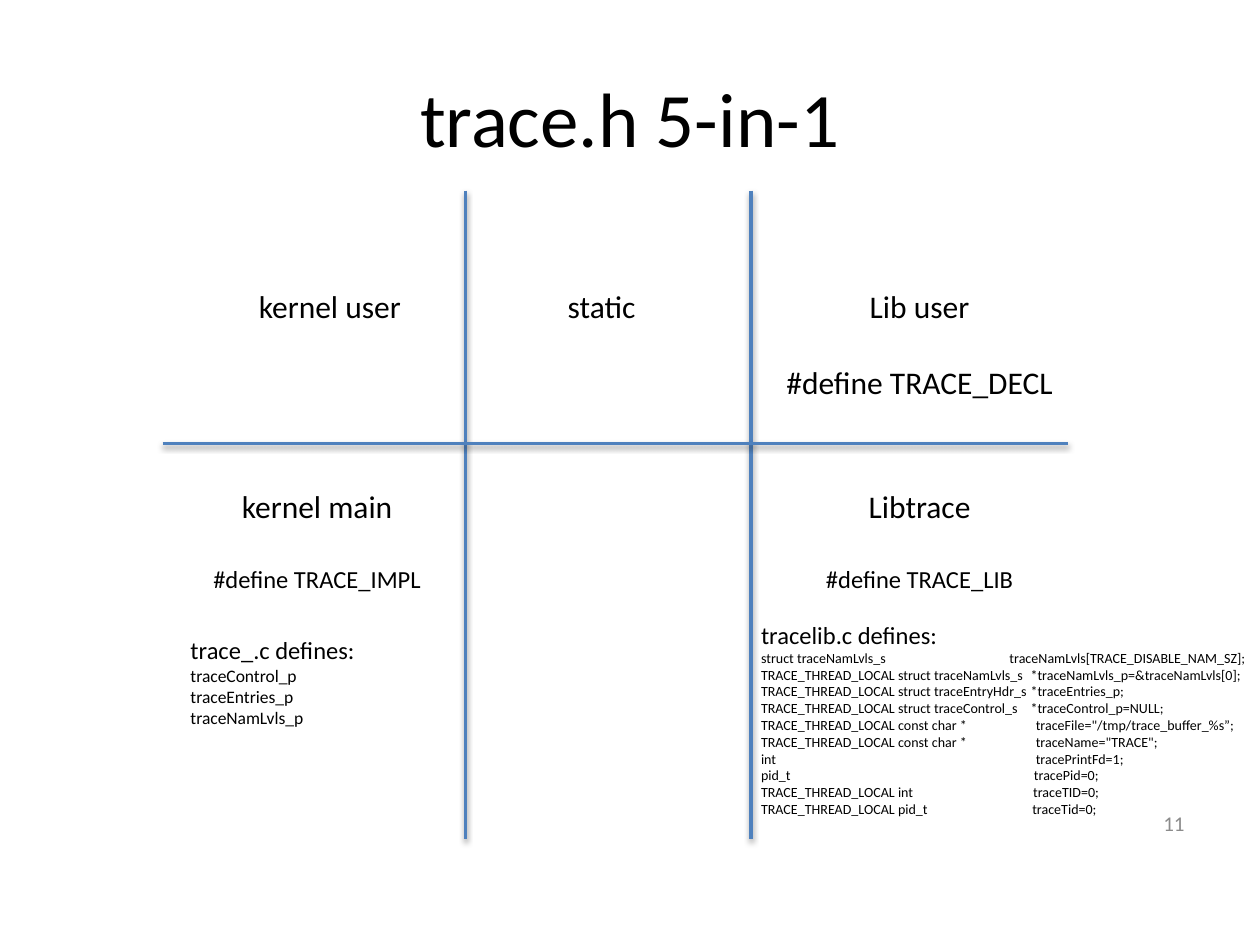
from lxml import etree
from pptx import Presentation
from pptx.dml.color import RGBColor
from pptx.enum import shapes, text
from pptx.oxml import ns
from pptx.util import Pt

BLACK = RGBColor(0, 0, 0)
GREY = RGBColor(0x8B, 0x8B, 0x8B)
BLUE = RGBColor(0x4F, 0x81, 0xBD)
LEFT, CENTER, RIGHT = text.PP_ALIGN.LEFT, text.PP_ALIGN.CENTER, text.PP_ALIGN.RIGHT

VARIABLES = [
    ("struct traceNamLvls_s", "traceNamLvls[TRACE_DISABLE_NAM_SZ];", 142),
    ("TRACE_THREAD_LOCAL struct traceNamLvls_s", "*traceNamLvls_p=&traceNamLvls[0];", 154),
    ("TRACE_THREAD_LOCAL struct traceEntryHdr_s", "*traceEntries_p;", 154),
    ("TRACE_THREAD_LOCAL struct traceControl_s", "*traceControl_p=NULL;", 154),
    ("TRACE_THREAD_LOCAL const char *", "traceFile=\"/tmp/trace_buffer_%s\u201d;", 157),
    ("TRACE_THREAD_LOCAL const char *", "traceName=\"TRACE\";", 157),
    ("int", "tracePrintFd=1;", 157),
    ("pid_t", "tracePid=0;", 156),
    ("TRACE_THREAD_LOCAL int", "traceTID=0;", 155.5),
    ("TRACE_THREAD_LOCAL pid_t", "traceTid=0;", 155),
]


def write(para, words, size=18, color=BLACK, align=LEFT, before=0, tab=None):
    para.alignment = align
    para.space_before = Pt(before)
    span = para.add_run()
    span.text = words
    span.font.size = Pt(size)
    span.font.name = "Calibri"
    span.font.color.rgb = color
    if tab:
        stops = etree.SubElement(para._p.get_or_add_pPr(), ns.qn("a:tabLst"))
        etree.SubElement(stops, ns.qn("a:tab"), pos=str(int(Pt(tab))), algn="l")


def add_text(page, box, lines, inset=7.2, anchor=text.MSO_ANCHOR.TOP):
    frame = page.shapes.add_textbox(*map(Pt, box)).text_frame
    frame.word_wrap = True
    frame.margin_left = frame.margin_right = Pt(inset)
    frame.vertical_anchor = anchor
    for index, (words, style) in enumerate(lines):
        para = frame.add_paragraph() if index else frame.paragraphs[0]
        write(para, words, **style)


def add_title(page, box, words):
    title = page.shapes.title
    title.left, title.top, title.width, title.height = map(Pt, box)
    title.text_frame.vertical_anchor = text.MSO_ANCHOR.MIDDLE
    write(title.text_frame.paragraphs[0], words, size=44, align=CENTER)


def add_rule(page, start, end):
    rule = page.shapes.add_connector(
        shapes.MSO_CONNECTOR.STRAIGHT, *map(Pt, (*start, *end)))
    rule.line.color.rgb = BLUE
    rule.line.width = Pt(2)


def add_grid(page, box, columns, row):
    left, top, width, height = box
    for column in columns:
        add_rule(page, (left + column, top), (left + column, top + height))
    add_rule(page, (left, top + row), (left + width, top + row))


def add_heading(page, box, name, define=None, size=18):
    lines = [(name, dict(align=CENTER))]
    if define:
        lines.append((define, dict(size=size, align=CENTER, before=22)))
    add_text(page, box, lines, inset=0)


def add_definitions(page, box, heading, rows, size):
    lines = [(heading, dict(size=14))]
    lines += [(words, dict(size=size, tab=tab)) for words, tab in rows]
    add_text(page, box, lines)


deck = Presentation()
deck.slide_width, deck.slide_height = Pt(720), Pt(540)
page = deck.slides.add_slide(deck.slide_layouts[5])

add_title(page, (36, 21.6, 648, 90), "trace.h 5-in-1")
add_grid(page, (93, 109, 517.5, 370.5), (173, 336), 144.5)
add_heading(page, (140.5, 160.5, 96, 29), "kernel user")
add_heading(page, (317.5, 160.5, 52.5, 29), "static")
add_heading(page, (442.5, 160.5, 166, 72), "Lib user", "#define TRACE_DECL")
add_heading(page, (115, 275, 132.5, 72), "kernel main", "#define TRACE_IMPL", size=14)
add_heading(page, (465, 275, 121, 72), "Libtrace", "#define TRACE_LIB", size=14)
add_definitions(page, (101.8, 359.5, 164, 60), "trace_.c defines:",
                [(name, None) for name in
                 ("traceControl_p", "traceEntries_p", "traceNamLvls_p")], 10)
add_definitions(page, (427.8, 350.8, 292.2, 127), "tracelib.c defines:",
                [(f"{kind}\t{name}", tab) for kind, name, tab in VARIABLES], 8)
add_text(page, (516, 455.8, 168, 28.8), [("11", dict(size=12, color=GREY, align=RIGHT))],
         anchor=text.MSO_ANCHOR.MIDDLE)

deck.save("out.pptx")
